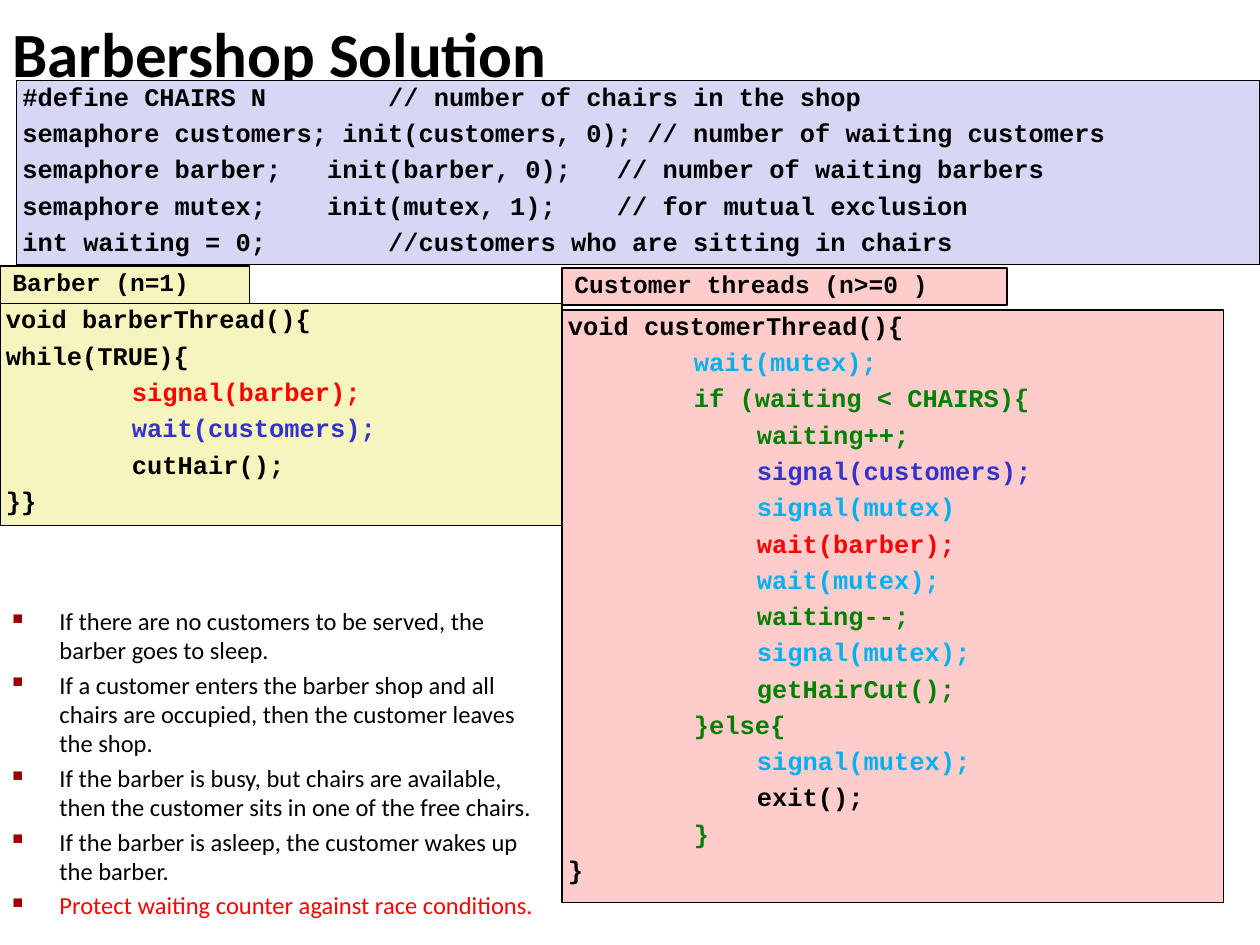
from lxml import etree
from pptx import Presentation
from pptx.dml.color import RGBColor
from pptx.enum.shapes import MSO_SHAPE
from pptx.enum.text import MSO_ANCHOR, PP_ALIGN
from pptx.oxml.ns import qn
from pptx.util import Cm, Pt

RECTANGLE = MSO_SHAPE.RECTANGLE
TOP, MIDDLE = MSO_ANCHOR.TOP, MSO_ANCHOR.MIDDLE
LEFT = PP_ALIGN.LEFT

BLACK = RGBColor(0x00, 0x00, 0x00)
WHITE = RGBColor(0xFF, 0xFF, 0xFF)
RED = RGBColor(0xFF, 0x00, 0x00)
BLUE = RGBColor(0x33, 0x33, 0xCC)
SKY = RGBColor(0x00, 0xB0, 0xF0)
GREEN = RGBColor(0x00, 0x80, 0x00)
MAROON = RGBColor(0x99, 0x00, 0x00)
YELLOW = RGBColor(0xF6, 0xF5, 0xBD)
LAVENDER = RGBColor(0xD6, 0xD6, 0xF5)

SHARED_CODE = [
    ("#define CHAIRS N        // number of chairs in the shop", BLACK),
    ("semaphore customers; init(customers, 0); // number of waiting customers", BLACK),
    ("semaphore barber;   init(barber, 0);   // number of waiting barbers", BLACK),
    ("semaphore mutex;    init(mutex, 1);    // for mutual exclusion", BLACK),
    ("int waiting = 0;        //customers who are sitting in chairs", BLACK),
]
BARBER_CODE = [
    ("void barberThread(){", BLACK),
    ("while(TRUE){", BLACK),
    ("\t\tsignal(barber);", RED),
    ("\t\twait(customers);", BLUE),
    ("\t\tcutHair();", BLACK),
    ("}}", BLACK),
]
CUSTOMER_CODE = [
    ("void customerThread(){", BLACK),
    ("\t\twait(mutex);", SKY),
    ("\t\tif (waiting < CHAIRS){", GREEN),
    ("\t\t\twaiting++;", GREEN),
    ("\t\t\tsignal(customers);", BLUE),
    ("\t\t\tsignal(mutex)", SKY),
    ("\t\t\twait(barber);", RED),
    ("\t\t\twait(mutex);", SKY),
    ("\t\t\twaiting--;", GREEN),
    ("\t\t\tsignal(mutex);", SKY),
    ("\t\t\tgetHairCut();", GREEN),
    ("\t\t}else{", GREEN),
    ("\t\t\tsignal(mutex);", SKY),
    ("\t\t\texit();", BLACK),
    ("\t\t}", GREEN),
    ("}", BLACK),
]
RULES = [
    ("If there are no customers to be served, the barber goes to sleep.", BLACK),
    ("If a customer enters the barber shop and all chairs are occupied, "
     "then the customer leaves the shop.", BLACK),
    ("If the barber is busy, but chairs are available, "
     "then the customer sits in one of the free chairs.", BLACK),
    ("If the barber is asleep, the customer wakes up the barber.", BLACK),
    ("Protect waiting counter against race conditions.", RED),
]


class SlideBuilder:
    text_font = "Calibri"
    code_font = "Courier New"
    tab_width = Cm(1.27)

    def __init__(self, page):
        self.page = page

    def style(self, paragraph, name, size, color, bold):
        font = paragraph.font
        font.name, font.size, font.bold = name, Pt(size), bold
        font.color.rgb = color

    def paragraphs(self, frame, lines, gap):
        for index, (text, color) in enumerate(lines):
            paragraph = frame.add_paragraph() if index else frame.paragraphs[0]
            paragraph.add_run().text = text
            paragraph.alignment = LEFT
            paragraph.space_before = Pt(gap if index else 0)
            yield paragraph, color

    def title(self, text, left, top, width, height):
        box = self.page.shapes.title
        box.left, box.top, box.width, box.height = left, top, width, height
        box.fill.solid()
        box.fill.fore_color.rgb = WHITE
        frame = box.text_frame
        frame.vertical_anchor = MIDDLE
        for paragraph, color in self.paragraphs(frame, [(text, BLACK)], 0):
            self.style(paragraph, self.text_font, 36, color, True)

    def code(self, lines, left, top, width, height, fill, opacity=100,
             size=14.5, side=Cm(0.12), anchor=TOP, line=0.75):
        box = self.page.shapes.add_shape(RECTANGLE, left, top, width, height)
        box.shadow.inherit = False
        box.fill.solid()
        box.fill.fore_color.rgb = fill
        if opacity < 100:
            tint = box.fill._xPr.find(qn("a:solidFill"))[0]
            etree.SubElement(tint, qn("a:alpha"), val=str(opacity * 1000))
        box.line.color.rgb = BLACK
        box.line.width = Pt(line)
        frame = box.text_frame
        frame.word_wrap = True
        frame.vertical_anchor = anchor
        frame.margin_left = frame.margin_right = side
        frame.margin_top = frame.margin_bottom = Cm(0.12)
        for paragraph, color in self.paragraphs(frame, lines, 6.8):
            paragraph.line_spacing = 0.8
            tabs = etree.SubElement(paragraph._p.get_or_add_pPr(), qn("a:tabLst"))
            for stop in range(1, 4):
                etree.SubElement(tabs, qn("a:tab"), pos=str(self.tab_width * stop), algn="l")
            self.style(paragraph, self.code_font, size, color, True)

    def label(self, text, left, top, width, height, fill, opacity=100):
        self.code([(text, BLACK)], left, top, width, height, fill, opacity,
                  size=14, side=Cm(0.25), anchor=MIDDLE, line=1)

    def bullets(self, lines, left, top, width, height):
        frame = self.page.shapes.add_textbox(left, top, width, height).text_frame
        frame.word_wrap = True
        for paragraph, color in self.paragraphs(frame, lines, 2.8):
            properties = paragraph._p.get_or_add_pPr()
            properties.set("marL", str(Cm(0.95)))
            properties.set("indent", str(-Cm(0.95)))
            tint = etree.SubElement(properties, qn("a:buClr"))
            etree.SubElement(tint, qn("a:srgbClr"), val=str(MAROON))
            etree.SubElement(properties, qn("a:buSzPct"), val="60000")
            etree.SubElement(properties, qn("a:buChar"), char="■")
            self.style(paragraph, self.text_font, 14, color, False)


def main():
    deck = Presentation()
    deck.slide_width, deck.slide_height = Cm(25.4), Cm(19.05)
    slide = SlideBuilder(deck.slides.add_slide(deck.slide_layouts[5]))
    column = Cm(11.33)

    slide.title("Barbershop Solution", 0, 0, Cm(25.73), Cm(2.11))
    slide.code(BARBER_CODE, 0, Cm(6.12), column, Cm(4.47), YELLOW)
    slide.label("Barber (n=1)", 0, Cm(5.36), Cm(5.03), Cm(0.76), YELLOW)
    slide.code(SHARED_CODE, Cm(0.33), Cm(1.63), Cm(25.07), Cm(3.71), LAVENDER)
    slide.code(CUSTOMER_CODE, column, Cm(6.25), Cm(13.34), Cm(11.94), RED, 20)
    slide.label("Customer threads (n>=0 )", column, Cm(5.41), Cm(8.97), Cm(0.74), RED, 20)
    slide.bullets(RULES, 0, Cm(12.09), column, Cm(6.96))

    deck.save("out.pptx")


if __name__ == "__main__":
    main()
